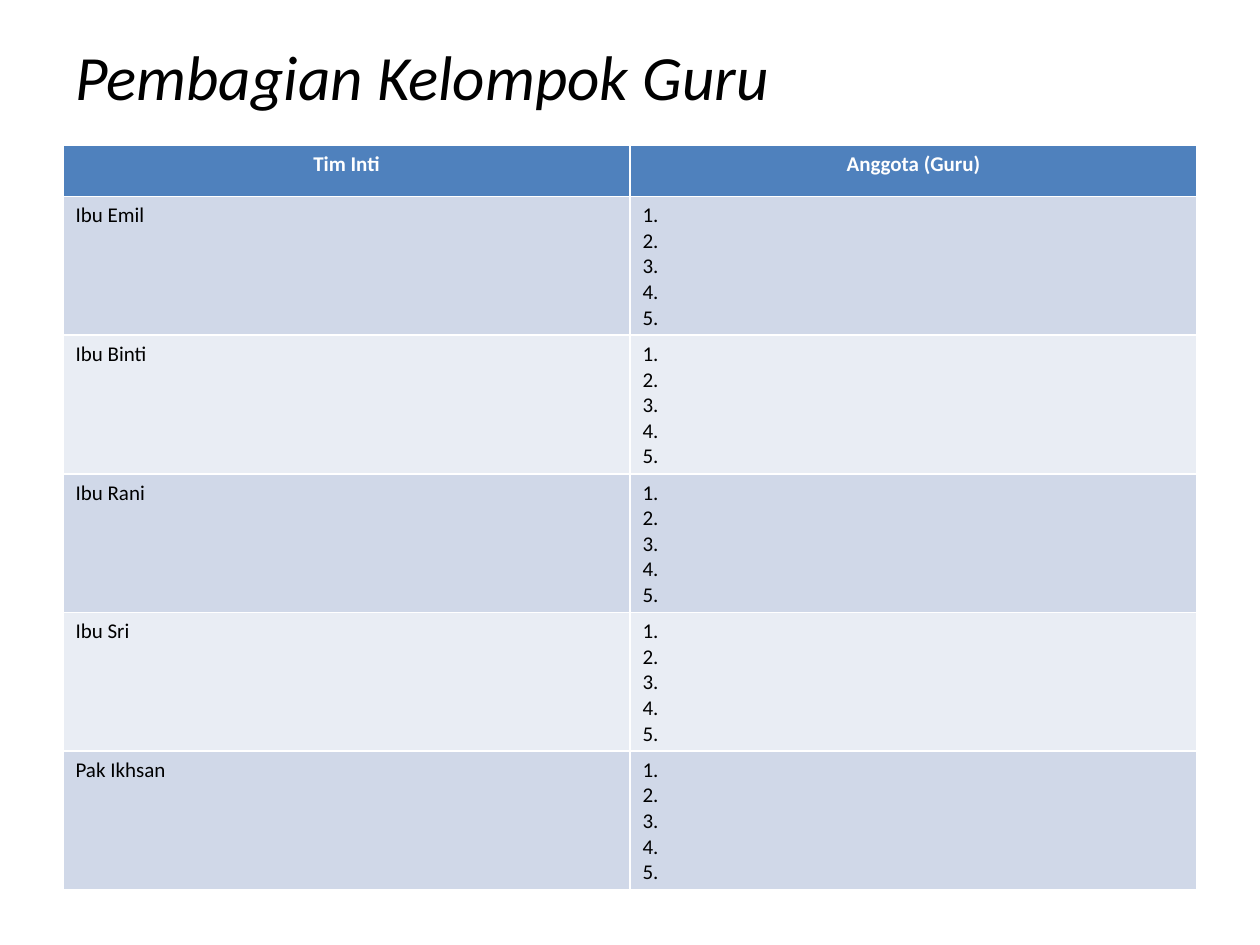
"""Build the slide that assigns teachers to core team members."""
from pptx import Presentation
from pptx.dml.color import RGBColor
from pptx.enum.text import MSO_ANCHOR, PP_ALIGN
from pptx.util import Inches, Pt

TITLE = "Pembagian Kelompok Guru"
HEADS = ["Tim Inti", "Anggota (Guru)"]
TEAM = ["Ibu Emil", "Ibu Binti", "Ibu Rani", "Ibu Sri", "Pak Ikhsan"]
SLOTS = [f"{n}." for n in range(1, 6)]
FONT = "Calibri"
COLORS = {"head": "4F81BD", "odd": "D0D8E8", "even": "E9EDF4",
          "light": "FFFFFF", "dark": "000000"}


def color(name):
    return RGBColor.from_string(COLORS[name])


def write(frame, lines, size, ink="dark", align=PP_ALIGN.LEFT,
          bold=False, italic=False):
    for i, line in enumerate(lines):
        para = frame.add_paragraph() if i else frame.paragraphs[0]
        para.alignment = align
        run = para.add_run()
        run.text = line
        font = run.font
        font.name, font.size = FONT, Pt(size)
        font.bold, font.italic = bold, italic
        font.color.rgb = color(ink)


def fill(cell, name):
    cell.fill.solid()
    cell.fill.fore_color.rgb = color(name)


deck = Presentation()
deck.slide_width, deck.slide_height = Inches(10), Inches(7.5)
slide = deck.slides.add_slide(deck.slide_layouts[6])

title = slide.shapes.add_textbox(
    Inches(0.5), Inches(-0.03), Inches(9), Inches(1.25)).text_frame
title.word_wrap = True
title.vertical_anchor = MSO_ANCHOR.MIDDLE
write(title, [TITLE], 36, italic=True)

table = slide.shapes.add_table(
    len(TEAM) + 1, len(HEADS),
    Inches(0.5), Inches(1.15), Inches(9), Inches(5.91)).table
for col in table.columns:
    col.width = Inches(4.5)
for i, row in enumerate(table.rows):
    row.height = Inches(1.1 if i else 0.41)

for col, head in enumerate(HEADS):
    cell = table.cell(0, col)
    fill(cell, "head")
    write(cell.text_frame, [head], 12, "light", PP_ALIGN.CENTER, bold=True)

for row, name in enumerate(TEAM, 1):
    for col, lines in enumerate([[name], SLOTS]):
        cell = table.cell(row, col)
        fill(cell, "odd" if row % 2 else "even")
        write(cell.text_frame, lines, 12)

deck.save("out.pptx")
